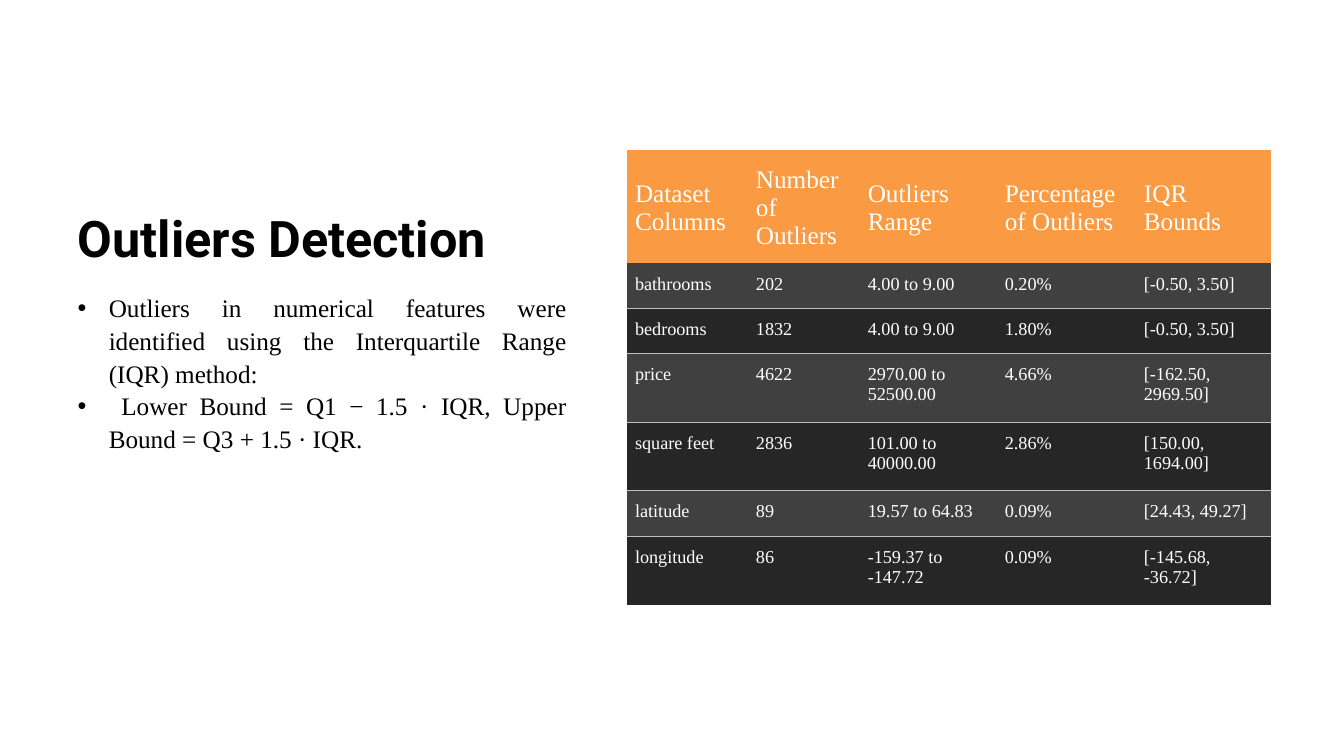
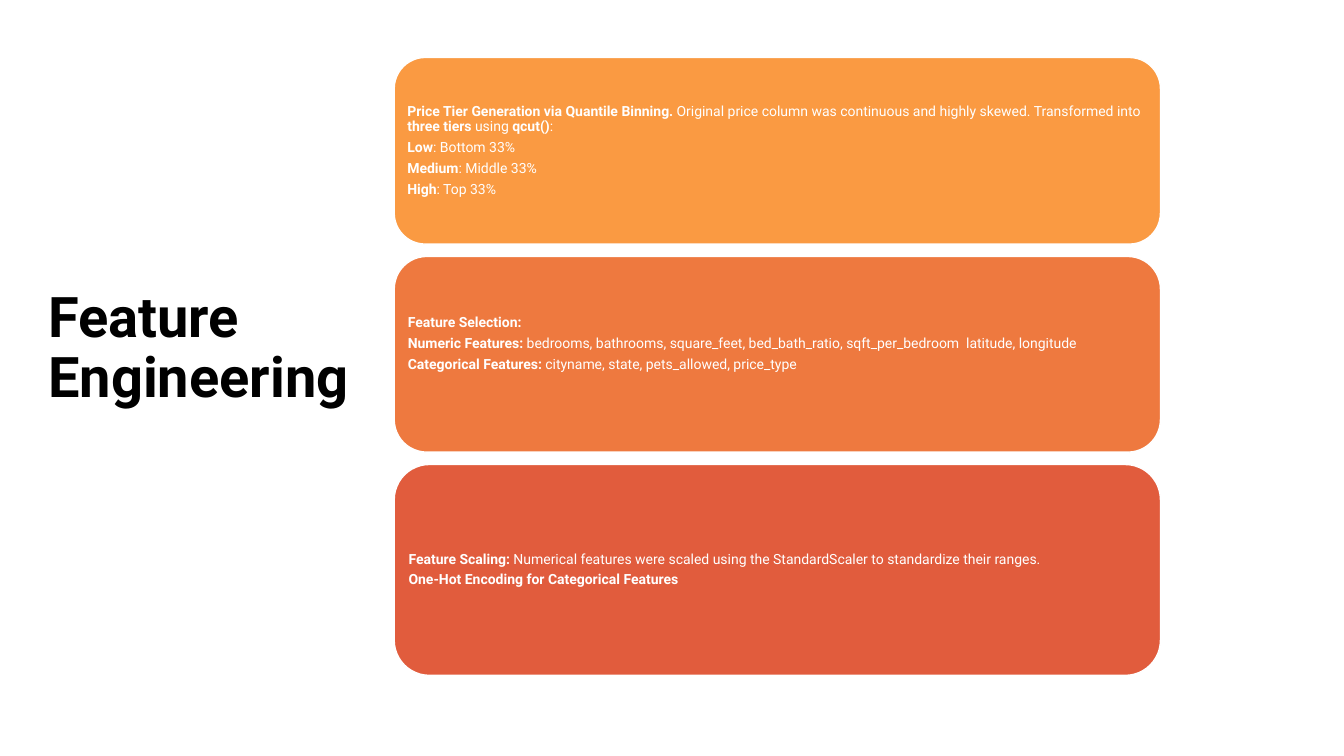
from dataclasses import dataclass

from lxml import etree
from pptx import Presentation
from pptx import util as u
from pptx.dml.color import RGBColor
from pptx.enum import shapes, text
from pptx.oxml.ns import qn

BLACK = RGBColor(0x00, 0x00, 0x00)
WHITE = RGBColor(0xFF, 0xFF, 0xFF)
AMBER = RGBColor(0xFA, 0x9A, 0x42)
ORANGE = RGBColor(0xEE, 0x79, 0x3F)
RED = RGBColor(0xE1, 0x5C, 0x3D)
LIGHT_ROW = RGBColor(0x40, 0x40, 0x40)
DARK_ROW = RGBColor(0x26, 0x26, 0x26)
RULE = RGBColor(0xBF, 0xBF, 0xBF)
SANS = "Roboto"
SERIF = "Times New Roman"
NO_GRID_STYLE = "{2D5ABB26-0587-4C30-8999-92F81FD0307C}"
BOLD_MARK = "*"

OUTLIER_METHOD = [
    "Outliers in numerical features were identified using the Interquartile Range (IQR) method:",
    " Lower Bound = Q1 − 1.5 · IQR, Upper Bound = Q3 + 1.5 · IQR.",
]
OUTLIER_ROWS = [
    ("Dataset Columns", "Number of Outliers", "Outliers Range", "Percentage of Outliers", "IQR Bounds"),
    ("bathrooms", "202", "4.00 to 9.00", "0.20%", "[-0.50, 3.50]"),
    ("bedrooms", "1832", "4.00 to 9.00", "1.80%", "[-0.50, 3.50]"),
    ("price", "4622", "2970.00 to 52500.00", "4.66%", "[-162.50, 2969.50]"),
    ("square feet", "2836", "101.00 to 40000.00", "2.86%", "[150.00, 1694.00]"),
    ("latitude", "89", "19.57 to 64.83", "0.09%", "[24.43, 49.27]"),
    ("longitude", "86", "-159.37 to -147.72", "0.09%", "[-145.68, -36.72]"),
]
COLUMN_WEIGHTS = [1.2, 1.11, 1.36, 1.38, 1.34]
ROW_WEIGHTS = [1.12, 0.45, 0.45, 0.68, 0.68, 0.45, 0.68]

FEATURE_STEPS = [
    (AMBER, 1.85, 0.04, [
        "*Price Tier Generation via Quantile Binning. *Original price column was continuous and "
        "highly skewed. Transformed into *three tiers* using *qcut()*:",
        "*Low*: Bottom 33%",
        "*Medium*: Middle 33%",
        "*High*: Top 33%",
    ]),
    (ORANGE, 1.94, 0.24, [
        "*Feature Selection:*",
        "*Numeric Features:* bedrooms, bathrooms, square_feet, bed_bath_ratio, "
        "sqft_per_bedroom  latitude, longitude",
        "*Categorical Features: *cityname, state, pets_allowed, price_type",
    ]),
    (RED, 2.09, 0.04, [
        "*Feature Scaling: *Numerical features were scaled using the StandardScaler "
        "to standardize their ranges.",
        "*One-Hot Encoding for Categorical Features*",
    ]),
]


@dataclass
class Box:
    left: int
    top: int
    width: int
    height: int

    def share(self, left, top, width, height):
        return Box(
            round(self.left + self.width * left / 100),
            round(self.top + self.height * top / 100),
            round(self.width * width / 100),
            round(self.height * height / 100),
        )

    def bounds(self):
        return self.left, self.top, self.width, self.height


SLIDE = Box(0, 0, u.Inches(13.33), u.Inches(7.5))


def write(frame, paragraphs, *, size, font, color, bold=False, anchor=text.MSO_ANCHOR.TOP,
          align=text.PP_ALIGN.LEFT, spacing=1.0, after=0, bullet=None):
    frame.word_wrap = True
    frame.vertical_anchor = anchor
    for index, wording in enumerate(paragraphs):
        paragraph = frame.paragraphs[0] if index == 0 else frame.add_paragraph()
        paragraph.alignment = align
        paragraph.line_spacing = spacing
        paragraph.space_after = u.Pt(after)
        if bullet:
            properties = paragraph._p.get_or_add_pPr()
            indent = u.Inches(0.31)
            properties.set("marL", str(indent))
            properties.set("indent", str(-indent))
            etree.SubElement(properties, qn("a:buFont")).set("typeface", "Arial")
            etree.SubElement(properties, qn("a:buChar")).set("char", bullet)
        for position, words in enumerate(wording.split(BOLD_MARK)):
            if words:
                run = paragraph.add_run()
                run.text = words
                run.font.size = u.Pt(size)
                run.font.name = font
                run.font.color.rgb = color
                run.font.bold = bold or position % 2 == 1


def set_insets(target, left, top, right, bottom):
    target.margin_left, target.margin_top = u.Inches(left), u.Inches(top)
    target.margin_right, target.margin_bottom = u.Inches(right), u.Inches(bottom)


def place_title(slide, box, wording, size, anchor):
    title = slide.shapes.title
    title.left, title.top, title.width, title.height = box.bounds()
    title.text_frame.auto_size = text.MSO_AUTO_SIZE.NONE
    write(title.text_frame, [wording], size=size, font=SANS, color=BLACK, bold=True,
          anchor=anchor, spacing=0.9)


def place_method(slide, box):
    place_title(slide, box.share(0, 0, 100, 29.45), "Outliers Detection", 36, text.MSO_ANCHOR.BOTTOM)
    method = slide.shapes.add_textbox(*box.share(0, 31.82, 100, 68.18).bounds())
    write(method.text_frame, OUTLIER_METHOD, size=18, font=SERIF, color=BLACK,
          align=text.PP_ALIGN.JUSTIFY, spacing=1.08, bullet="•")


def rule_cell(cell, edge):
    line = etree.Element(qn(f"a:{edge}"), w=str(u.Pt(1)))
    fill = etree.SubElement(line, qn("a:solidFill"))
    etree.SubElement(fill, qn("a:srgbClr")).set("val", str(RULE))
    cell._tc.get_or_add_tcPr().insert(0, line)


def place_outlier_table(slide, box):
    outliers = slide.shapes.add_table(len(OUTLIER_ROWS), len(COLUMN_WEIGHTS), *box.bounds()).table
    outliers.first_row = outliers.horz_banding = False
    outliers._tbl.tblPr.find(qn("a:tableStyleId")).text = NO_GRID_STYLE
    for column, weight in zip(outliers.columns, COLUMN_WEIGHTS):
        column.width = round(box.width * weight / sum(COLUMN_WEIGHTS))
    for row, weight in zip(outliers.rows, ROW_WEIGHTS):
        row.height = round(box.height * weight / sum(ROW_WEIGHTS))
    for row_index, values in enumerate(OUTLIER_ROWS):
        header = row_index == 0
        dark = row_index % 2 == 0
        for column_index, value in enumerate(values):
            cell = outliers.cell(row_index, column_index)
            set_insets(cell, 0.08, 0.11, 0.08, 0.08)
            cell.fill.solid()
            cell.fill.fore_color.rgb = AMBER if header else DARK_ROW if dark else LIGHT_ROW
            write(cell.text_frame, [value], size=18 if header else 13, font=SERIF, color=WHITE)
            cell.vertical_anchor = text.MSO_ANCHOR.MIDDLE if header else text.MSO_ANCHOR.TOP
            if not header:
                rule_cell(cell, "lnT" if dark else "lnB")


def place_steps(slide, box):
    gap = box.height * 0.02
    total = sum(weight for _, weight, _, _ in FEATURE_STEPS)
    unit = (box.height - gap * (len(FEATURE_STEPS) - 1)) / total
    top = box.top
    for color, weight, bottom_inset, paragraphs in FEATURE_STEPS:
        height = unit * weight
        card = slide.shapes.add_shape(shapes.MSO_SHAPE.ROUNDED_RECTANGLE,
                                      box.left, round(top), box.width, round(height))
        card.shadow.inherit = False
        card.fill.solid()
        card.fill.fore_color.rgb = color
        card.line.color.rgb = WHITE
        card.line.width = u.Pt(1)
        set_insets(card.text_frame, 0.04, 0.04, 0.04, bottom_inset)
        write(card.text_frame, paragraphs, size=10, font=SANS, color=WHITE,
              anchor=text.MSO_ANCHOR.MIDDLE, spacing=0.9, after=4)
        top += height + gap


def build_outliers(slide):
    place_method(slide, SLIDE.share(5.03, 16.27, 37.88, 67.47))
    place_outlier_table(slide, SLIDE.share(46.65, 19.87, 47.92, 60.13))


def build_features(slide):
    place_title(slide, SLIDE.share(2.85, 8, 28.66, 76.4), "Feature Engineering", 40,
                text.MSO_ANCHOR.MIDDLE)
    place_steps(slide, SLIDE.share(29.33, 7.6, 57.01, 81.73))


def main():
    deck = Presentation()
    deck.slide_width, deck.slide_height = SLIDE.width, SLIDE.height
    for build in (build_outliers, build_features):
        build(deck.slides.add_slide(deck.slide_layouts[5]))
    deck.save("out.pptx")


if __name__ == "__main__":
    main()
